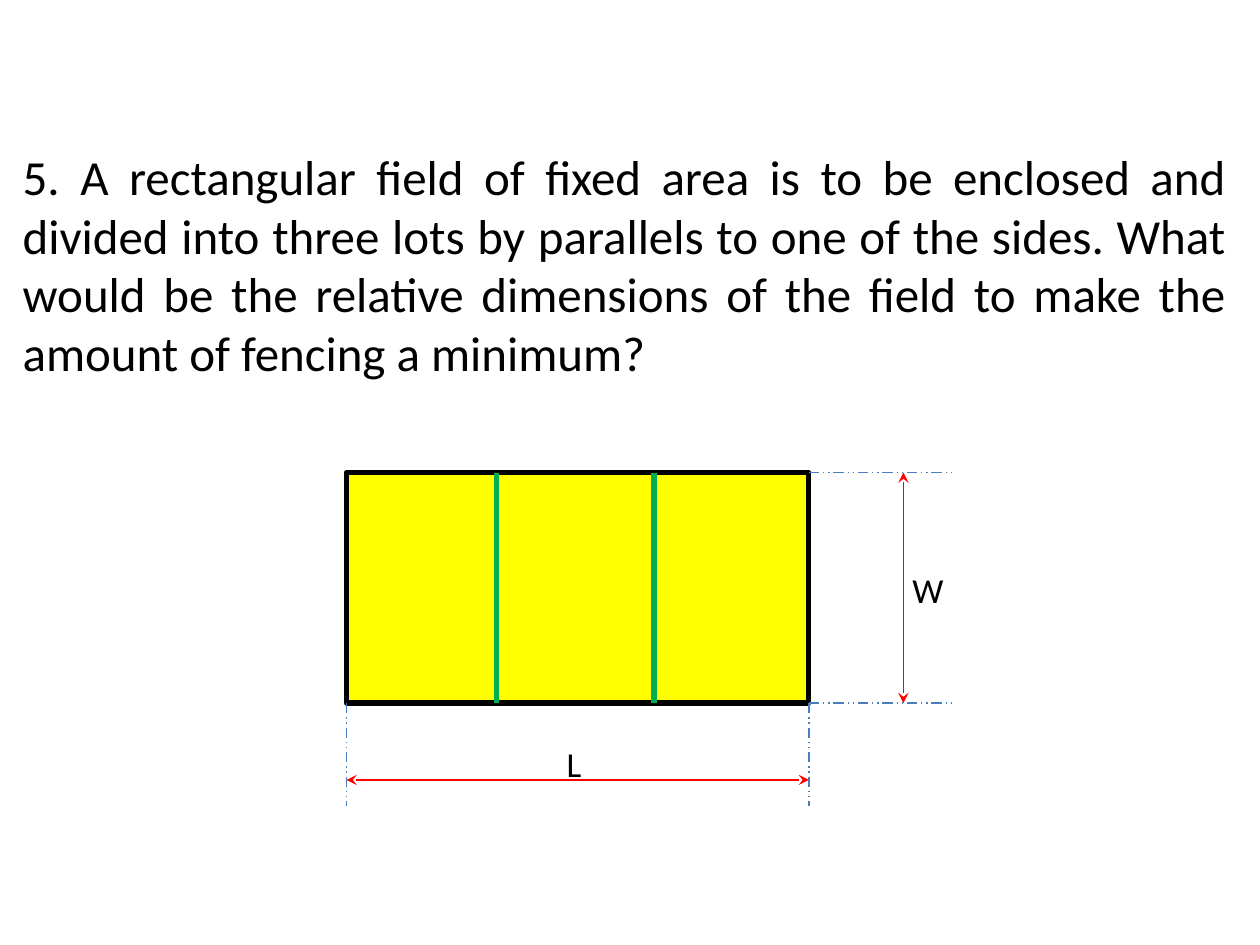
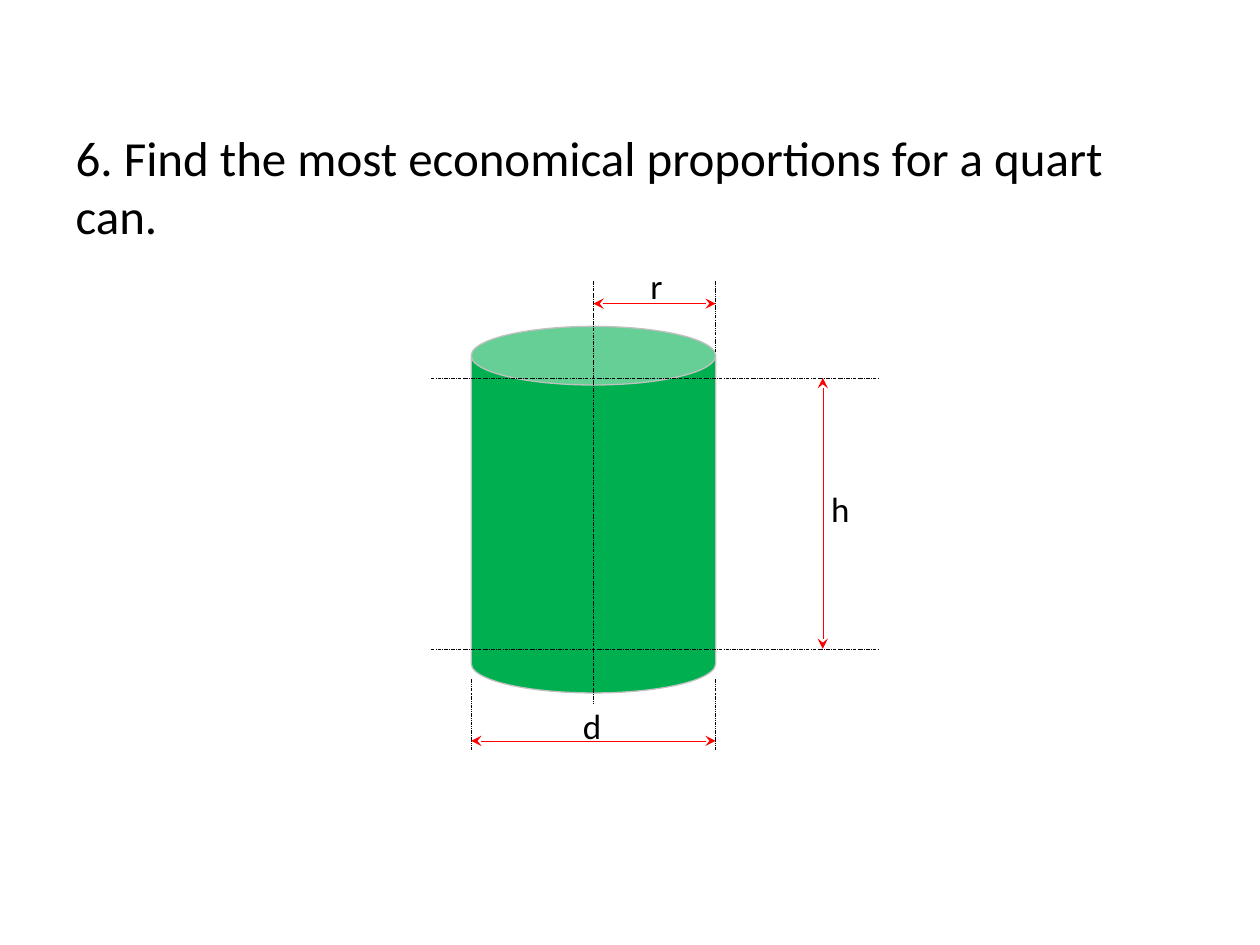
from dataclasses import dataclass

from lxml.etree import SubElement
from pptx import Presentation
from pptx.dml.color import RGBColor
from pptx.enum.dml import MSO_LINE
from pptx.enum.shapes import MSO_CONNECTOR, MSO_SHAPE
from pptx.enum.text import MSO_ANCHOR, MSO_AUTO_SIZE, PP_ALIGN
from pptx.oxml.ns import qn
from pptx.util import Inches, Pt


@dataclass(frozen=True)
class Theme:
    font: str = "Calibri"
    title_size: int = 28
    label_size: int = 20
    black: RGBColor = RGBColor(0x00, 0x00, 0x00)
    red: RGBColor = RGBColor(0xFF, 0x00, 0x00)
    green: RGBColor = RGBColor(0x00, 0xB0, 0x50)
    yellow: RGBColor = RGBColor(0xFF, 0xFF, 0x00)
    blue: RGBColor = RGBColor(0x4A, 0x7E, 0xBB)
    silver: RGBColor = RGBColor(0xC0, 0xC0, 0xC0)


T = Theme()


def add_line(s, ends, color, width, dash=None, arrows=False):
    """Draw a line through ends (x1, y1, x2, y2), in inches."""
    line = s.shapes.add_connector(MSO_CONNECTOR.STRAIGHT, *map(Inches, ends))
    line.line.color.rgb = color
    line.line.width = Pt(width)
    if dash:
        line.line.dash_style = dash
    if arrows:
        ln = line.line._get_or_add_ln()
        for tag in ("a:headEnd", "a:tailEnd"):
            SubElement(ln, qn(tag), type="stealth")
    SubElement(line._element.spPr, qn("a:effectLst"))


def write(shape, text, size, align, anchor, wrap):
    """Fill a text shape with one paragraph in the theme font."""
    tf = shape.text_frame
    tf.text = text
    tf.word_wrap = wrap
    tf.auto_size = MSO_AUTO_SIZE.NONE
    tf.vertical_anchor = anchor
    p = tf.paragraphs[0]
    p.alignment = align
    p.font.name = T.font
    p.font.size = Pt(size)
    p.font.color.rgb = T.black


prs = Presentation()
prs.slide_width, prs.slide_height = Inches(10), Inches(7.5)

problems = [
    ("5. A rectangular field of fixed area is to be enclosed and divided into "
     "three lots by parallels to one of the sides. What would be the relative "
     "dimensions of the field to make the amount of fencing a minimum?",
     (0.08, 1.11, 9.75, 1.97), PP_ALIGN.JUSTIFY,
     [("L", (4.4, 5.84, 0.31, 0.44)), ("W", (7.14, 4.46, 0.45, 0.44))]),
    ("6. Find the most economical proportions for a quart can.",
     (0.5, 0.95, 9, 1.05), PP_ALIGN.LEFT,
     [("h", (6.42, 3.82, 0.5, 0.32)), ("r", (4.94, 2.05, 0.54, 0.42)),
      ("d", (4.46, 5.54, 0.48, 0.42))]),
]
for text, box, align, labels in problems:
    s = prs.slides.add_slide(prs.slide_layouts[5])
    title = s.shapes.title
    title.left, title.top, title.width, title.height = map(Inches, box)
    write(title, text, T.title_size, align, MSO_ANCHOR.MIDDLE, True)
    for label, place in labels:
        write(s.shapes.add_textbox(*map(Inches, place)), label, T.label_size,
              PP_ALIGN.CENTER, MSO_ANCHOR.TOP, False)

field_slide, can_slide = prs.slides

# Field divided into three lots
left, top, length, width = 2.75, 3.75, 3.67, 1.83
right, bottom = left + length, top + width
field = field_slide.shapes.add_shape(
    MSO_SHAPE.RECTANGLE, *map(Inches, (left, top, length, width)))
field.shadow.inherit = False
field.fill.solid()
field.fill.fore_color.rgb = T.yellow
field.line.color.rgb = T.black
field.line.width = Pt(3)

for x in (3.94, 5.19):
    add_line(field_slide, (x, top, x, bottom), T.green, 3)
for y in (top, bottom):
    add_line(field_slide, (right, y, 7.58, y), T.blue, 0.75, MSO_LINE.DASH_DOT_DOT)
for x in (left, right):
    add_line(field_slide, (x, bottom, x, 6.4), T.blue, 0.75, MSO_LINE.DASH_DOT_DOT)
for ends in ((7.17, top, 7.17, bottom), (left, 6.19, right, 6.19)):
    add_line(field_slide, ends, T.red, 0.75, arrows=True)

# Quart can with radius, diameter and height
left, top, diameter, height = 3.74, 2.59, 1.94, 2.91
right, axis = left + diameter, left + diameter / 2
rim, base = 3, 5.15
can = can_slide.shapes.add_shape(
    MSO_SHAPE.CAN, *map(Inches, (left, top, diameter, height)))
can.adjustments[0] = 0.24
can.shadow.inherit = False
can.fill.solid()
can.fill.fore_color.rgb = T.green
can.line.color.rgb = T.silver
can.line.width = Pt(0.75)

for ends in ((3.42, rim, 6.98, rim), (3.42, base, 6.98, base), (axis, 2.23, axis, 5.58)):
    add_line(can_slide, ends, T.black, 0.25, MSO_LINE.LONG_DASH_DOT)
for x, y in ((right, 2.23), (right, 5.39), (left, 5.39)):
    add_line(can_slide, (x, y, x, y + 0.56), T.black, 0.25, MSO_LINE.DASH_DOT_DOT)
for ends in ((axis, 2.41, right, 2.41), (left, 5.88, right, 5.88), (6.53, rim, 6.53, base)):
    add_line(can_slide, ends, T.red, 0.25, arrows=True)

prs.save("out.pptx")
